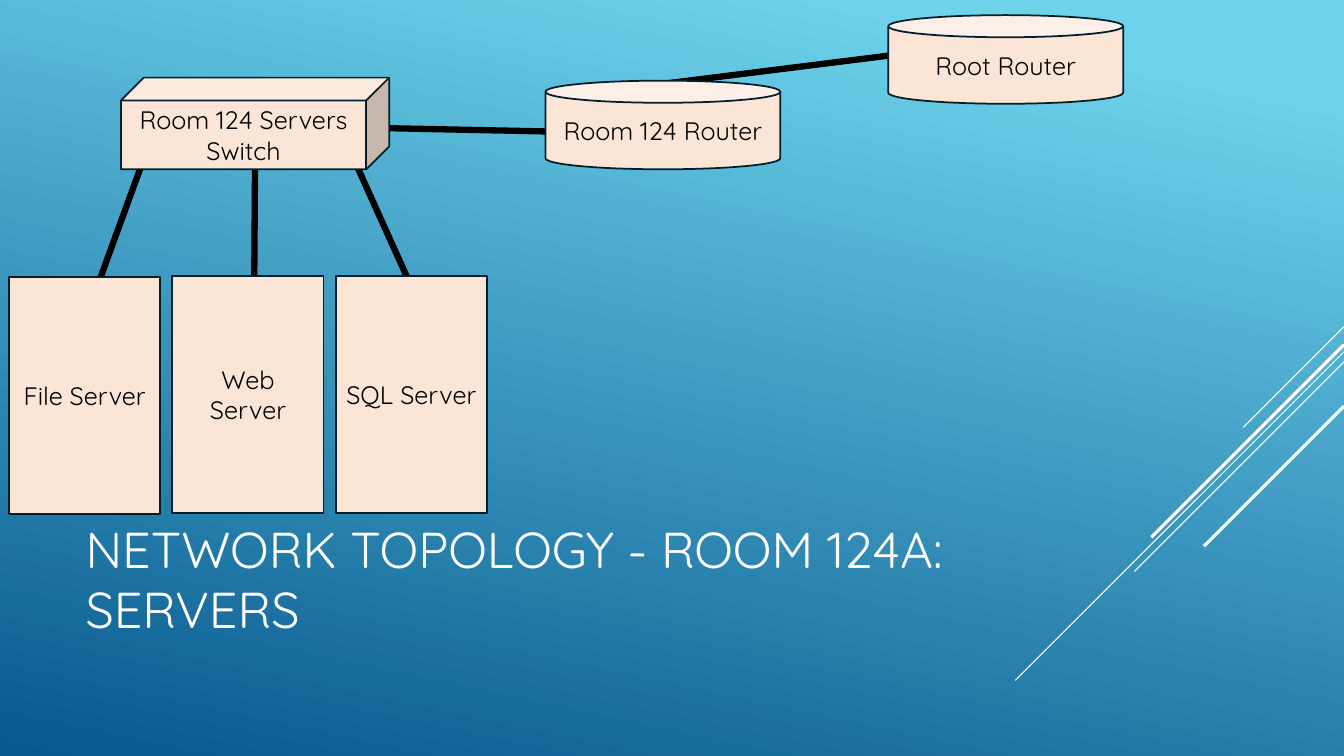
from pptx import Presentation
from pptx.dml.color import RGBColor
from pptx.enum.shapes import MSO_CONNECTOR as Conn, MSO_SHAPE as Geo
from pptx.enum.text import MSO_ANCHOR as Anchor, PP_ALIGN as Align
from pptx.util import Inches, Pt
from lxml.etree import SubElement
from pptx.oxml.ns import qn

WHITE = RGBColor(0xFF, 0xFF, 0xFF)
BLACK = RGBColor(0, 0, 0)
PEACH = RGBColor(0xFA, 0xE5, 0xD7)
NAVY = RGBColor(0x02, 0x1E, 0x2B)
SKY = RGBColor(0x6E, 0xD2, 0xEB)
DEEP = RGBColor(0x06, 0x58, 0x8E)


class Board:
    """Draws network parts on one slide in a shared style."""

    face = "Quicksand"

    def __init__(self, slide):
        self.slide = slide
        self.shapes = slide.shapes

    def back(self, angle, stops):
        fill = self.slide.background.fill
        fill.gradient()
        fill.gradient_angle = angle
        for stop, (place, color) in zip(fill.gradient_stops, stops):
            stop.position = place
            stop.color.rgb = color

    def line(self, start, end, color=BLACK, width=4.5):
        ends = [Inches(n) for n in (*start, *end)]
        link = self.shapes.add_connector(Conn.STRAIGHT, *ends)
        link.line.color.rgb = color
        link.line.width = Pt(width)
        SubElement(link._element.spPr, qn("a:effectLst"))

    def label(self, shape, text, size, color, align):
        frame = shape.text_frame
        for key, value in {"word_wrap": True, "vertical_anchor": Anchor.MIDDLE}.items():
            setattr(frame, key, value)
        para = frame.paragraphs[0]
        para.alignment = align
        run = para.add_run()
        run.text = text
        for key, value in {"name": self.face, "size": Pt(size)}.items():
            setattr(run.font, key, value)
        run.font.color.rgb = color

    def title(self, text, box):
        shape = self.shapes.add_textbox(*map(Inches, box))
        self.label(shape, text, 36, WHITE, Align.LEFT)

    def node(self, kind, text, box):
        shape = self.shapes.add_shape(kind, *map(Inches, box))
        shape.shadow.inherit = False
        shape.fill.solid()
        shape.fill.fore_color.rgb = PEACH
        shape.line.color.rgb = NAVY
        shape.line.width = Pt(1.25)
        self.label(shape, text, 18, BLACK, Align.CENTER)


def main():
    deck = Presentation()
    deck.slide_width, deck.slide_height = Inches(13.33), Inches(7.5)
    board = Board(deck.slides.add_slide(deck.slide_layouts[6]))
    board.back(258, [(0.1, SKY), (1, DEEP)])

    edge = 13.33
    for top, run, width in [(3.24, 1, 0.75), (3.49, 3.26, 0.75), (3.59, 2.08, 0.75),
                            (3.42, 1.91, 2.25), (4.03, 1.39, 2.25)]:
        board.line((edge, top), (edge - run, top + run), WHITE, width)

    for start, end in [((3.51, 1.58), (4.15, 3)), ((8.91, 0.54), (6.51, 0.84)),
                       ((6.67, 1.33), (3.75, 1.27)), ((2.53, 1.55), (2.52, 3.08)),
                       ((0.9, 3.02), (1.41, 1.62))]:
        board.line(start, end)

    board.title("NETWORK TOPOLOGY - ROOM 124A: SERVERS", (0.75, 4.91, 9.33, 1.65))
    for text, left, top in [("Root Router", 8.81, 0.15), ("Room 124 Router", 5.41, 0.8)]:
        board.node(Geo.CAN, text, (left, top, 2.33, 0.88))
    board.node(Geo.CUBE, "Room 124 Servers Switch", (1.2, 0.77, 2.66, 0.91))
    for col, (name, top) in enumerate([("File", 2.75), ("Web", 2.74), ("SQL", 2.74)]):
        board.node(Geo.RECTANGLE, f"{name} Server", (0.09 + 1.62 * col, top, 1.5, 2.35))

    deck.save("out.pptx")


if __name__ == "__main__":
    main()
